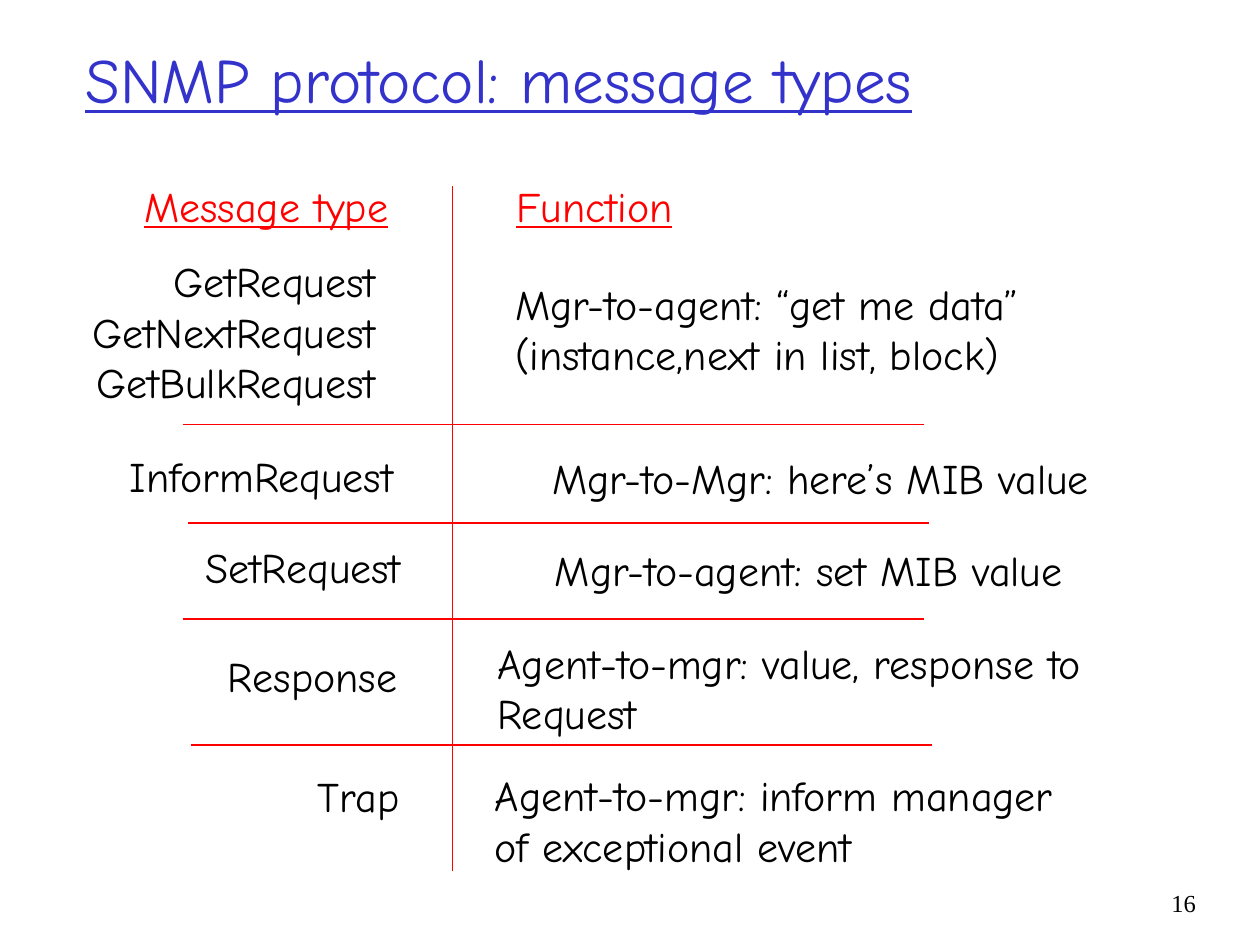
"""Build the slide listing SNMP message types and their functions."""
from lxml import etree
from pptx import Presentation
from pptx.dml.color import RGBColor
from pptx.enum.shapes import MSO_CONNECTOR
from pptx.enum.text import MSO_ANCHOR, MSO_AUTO_SIZE, PP_ALIGN
from pptx.oxml.ns import qn
from pptx.util import Pt

LEFT, RIGHT = PP_ALIGN.LEFT, PP_ALIGN.RIGHT
TOP, MIDDLE = MSO_ANCHOR.TOP, MSO_ANCHOR.MIDDLE
FIT, FIXED = MSO_AUTO_SIZE.SHAPE_TO_FIT_TEXT, MSO_AUTO_SIZE.NONE
STRAIGHT = MSO_CONNECTOR.STRAIGHT
PX = 9144
COLORS = {"title": "3333CC", "accent": "FF0000", "body": "000000"}
HAND, SERIF = "Comic Neue", "Times New Roman"

prs = Presentation()
prs.slide_width, prs.slide_height = 1000 * PX, 750 * PX
slide = prs.slides.add_slide(prs.slide_layouts[6])


def add_text(lines, place, align=LEFT, color="body", size=24, font=HAND,
             underline=False, wrap=True, fit=FIT, anchor=TOP):
    box = slide.shapes.add_textbox(*(n * PX for n in place))
    frame = box.text_frame
    frame.word_wrap = wrap
    frame.auto_size = fit
    frame.vertical_anchor = anchor
    for i, line in enumerate(lines):
        paragraph = frame.paragraphs[0] if i == 0 else frame.add_paragraph()
        paragraph.alignment = align
        run = paragraph.add_run()
        run.text = line
        run.font.size = Pt(size)
        run.font.name = font
        run.font.underline = underline
        run.font.color.rgb = RGBColor.from_string(COLORS[color])


def add_rule(x1, y1, x2, y2, width):
    rule = slide.shapes.add_connector(STRAIGHT, x1 * PX, y1 * PX, x2 * PX, y2 * PX)
    rule.line.color.rgb = RGBColor.from_string(COLORS["accent"])
    rule.line.width = Pt(width)
    etree.SubElement(rule._element.spPr, qn("a:effectLst"))


add_text(["SNMP protocol: message types"], (58, 0, 850, 125), color="title",
         size=36, underline=True, fit=FIXED, anchor=MIDDLE)

add_text(["Message type"], (104, 138, 214, 50), RIGHT, "accent",
         underline=True, wrap=False)
add_text(["Function"], (400, 138, 144, 50), LEFT, "accent",
         underline=True, wrap=False)

add_text(["GetRequest", "GetNextRequest", "GetBulkRequest"],
         (63, 198, 245, 130), RIGHT, wrap=False)
add_text(["Mgr-to-agent: “get me data”", "(instance,next in list, block)"],
         (399, 216, 422, 90), wrap=False)

messages = [
    ("InformRequest", 40, 353,
     ["Mgr-to-Mgr: here’s MIB value"], (381, 354, 493, 50), RIGHT),
    ("SetRequest", 46, 425,
     ["Mgr-to-agent: set MIB value"], (386, 427, 467, 50), RIGHT),
    ("Response", 43, 511,
     ["Agent-to-mgr: value, response to", "Request"], (385, 501, 699, 90), LEFT),
    ("Trap", 45, 607,
     ["Agent-to-mgr: inform manager", "of exceptional event"],
     (383, 606, 524, 90), LEFT),
]
for message, left, top, function, place, align in messages:
    add_text([message], (left, top, 282, 50), RIGHT)
    add_text(function, place, align)

for left, top in [(145, 337), (149, 415), (145, 491), (152, 591)]:
    add_rule(left, top, left + 588, top, 1)
add_rule(359, 148, 359, 691, 0.75)

add_text(["16"], (894, 700, 65, 50), RIGHT, size=14, font=SERIF, fit=FIXED)

prs.save("out.pptx")
